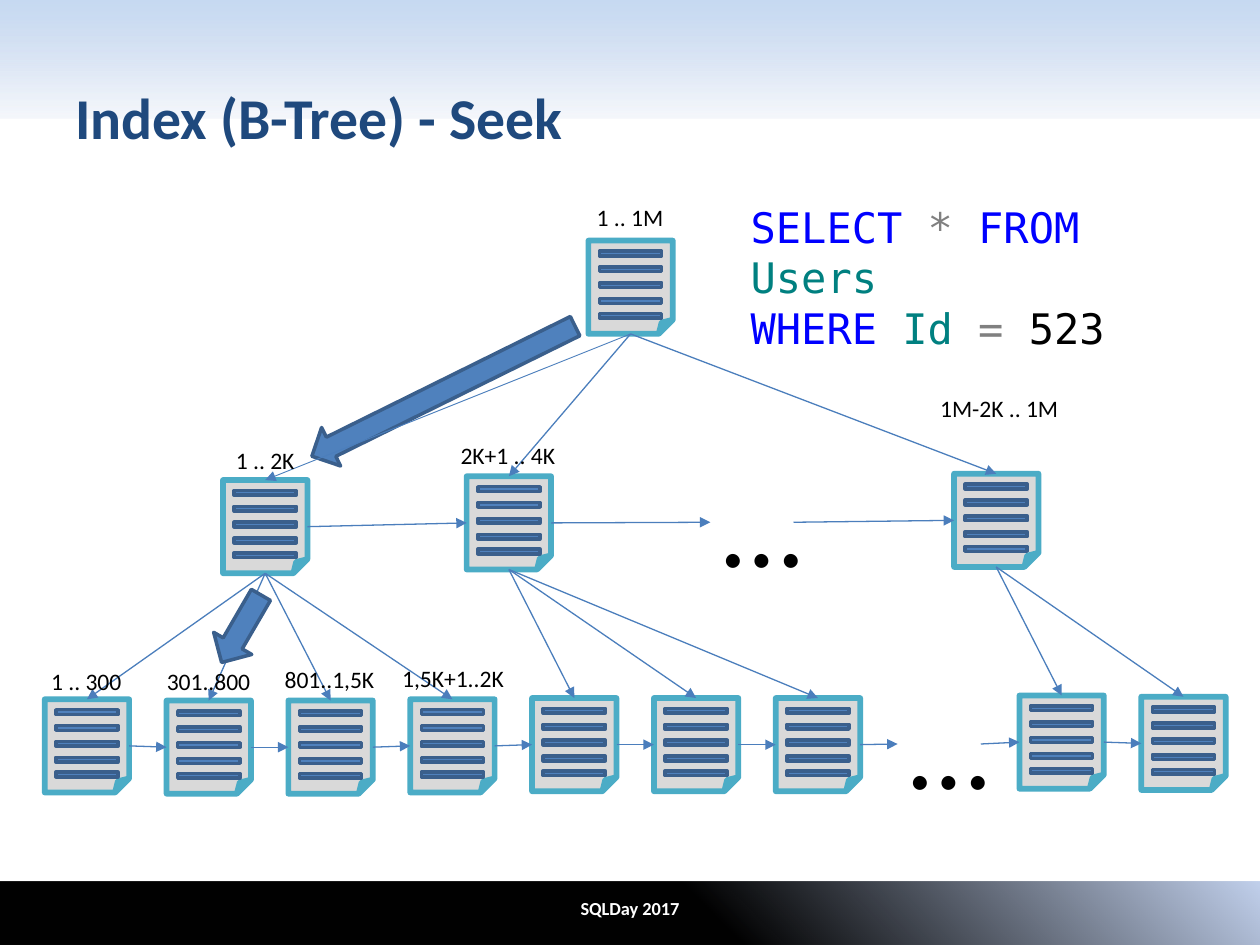
from lxml import etree
from pptx import Presentation
from pptx.dml.color import RGBColor
from pptx.enum.shapes import MSO_CONNECTOR as Line, MSO_SHAPE as Shape
from pptx.enum.text import MSO_ANCHOR as Anchor, MSO_AUTO_SIZE as AutoSize, PP_ALIGN as Align
from pptx.oxml import parse_xml
from pptx.oxml.ns import nsdecls, qn
from pptx.util import Inches, Pt

COLUMNS, ROWS = 100, 75
PAGE_W, PAGE_H = 6.7, 7.4
TOP, LEFT, BOTTOM, RIGHT = range(4)


def color(hex_code):
    return RGBColor.from_string(hex_code)


class Diagram:
    """Style and current slide; lengths are columns and rows of the grid."""
    font, code_font = "Calibri", "DejaVu Sans Mono"
    ink, title_ink = "000000", "1F497D"
    blue, dark_blue, link_blue = "4F81BD", "3A5F8C", "4B7EBC"
    paper, paper_edge = "D9D9D9", "4BACC6"

    def __init__(self, deck):
        self.slide = deck.slides.add_slide(deck.slide_layouts[6])
        self.column = deck.slide_width / COLUMNS
        self.row = deck.slide_height / ROWS

    def frame(self, x, y, w, h):
        return (round(x * self.column), round(y * self.row),
                round(w * self.column), round(h * self.row))

    def shape(self, kind, box, fill, edge, weight, parent=None, rotation=0):
        item = (parent or self.slide).shapes.add_shape(kind, *self.frame(*box))
        item.shadow.inherit = False
        item.fill.solid()
        item.fill.fore_color.rgb = color(fill)
        item.line.color.rgb = color(edge)
        item.line.width = Pt(weight)
        item.rotation = rotation
        return item

    def band(self, box, stops, angle):
        """Rectangle with a gradient of (position, colour, opacity) stops."""
        item = self.slide.shapes.add_shape(Shape.RECTANGLE, *self.frame(*box))
        item.shadow.inherit = False
        item.line.fill.background()
        stop_xml = "".join(
            f'<a:gs pos="{at * 1000}"><a:srgbClr val="{shade}">'
            f'<a:alpha val="{opacity * 1000}"/></a:srgbClr></a:gs>'
            for at, shade, opacity in stops)
        gradient = parse_xml(
            f'<a:gradFill {nsdecls("a")} rotWithShape="1"><a:gsLst>{stop_xml}</a:gsLst>'
            f'<a:lin ang="{angle * 60000}" scaled="0"/></a:gradFill>')
        item._element.spPr.find(qn("a:prstGeom")).addnext(gradient)

    def page(self, x, y):
        """Data page: folded sheet with five lines of rows."""
        group = self.slide.shapes.add_group_shape()
        sheet = self.shape(Shape.FOLDED_CORNER, (x, y, PAGE_W, PAGE_H),
                           self.paper, self.paper_edge, 3.25, group)
        for offset in (0.22, 1.48, 2.74, 4, 5.17):
            self.shape(Shape.MATH_MINUS, (x, y + offset, PAGE_W, 1.6),
                       self.blue, self.dark_blue, 2, group)
        return sheet

    def seek_arrow(self, box, rotation):
        self.shape(Shape.DOWN_ARROW, box, self.blue, self.dark_blue, 2, rotation=rotation)

    def link(self, start, start_side, end, end_side, weight=0.75):
        arrow = self.slide.shapes.add_connector(Line.STRAIGHT, 0, 0, 0, 0)
        arrow.begin_connect(start, start_side)
        arrow.end_connect(end, end_side)
        arrow.line.color.rgb = color(self.link_blue)
        arrow.line.width = Pt(weight)
        etree.SubElement(arrow.line._get_or_add_ln(), qn("a:tailEnd"), type="triangle")
        etree.SubElement(arrow._element.spPr, qn("a:effectLst"))

    def text(self, content, box, *, size=13.5, ink=None, font=None, bold=False,
             align=Align.CENTER, anchor=Anchor.TOP, grow=True):
        """Content is a string, or paragraphs of (text, colour) runs."""
        ink = ink or self.ink
        item = self.slide.shapes.add_textbox(*self.frame(*box))
        body = item.text_frame
        body.word_wrap = True
        body.vertical_anchor = anchor
        body.auto_size = AutoSize.SHAPE_TO_FIT_TEXT if grow else AutoSize.NONE
        paragraphs = [[(content, ink)]] if isinstance(content, str) else content
        for number, runs in enumerate(paragraphs):
            paragraph = body.add_paragraph() if number else body.paragraphs[0]
            paragraph.alignment = align
            for words, shade in runs:
                run = paragraph.add_run()
                run.text = words
                run.font.name = font or self.font
                run.font.size = Pt(size)
                run.font.bold = bold
                run.font.color.rgb = color(shade)
        return item


def main():
    deck = Presentation()
    deck.slide_width, deck.slide_height = Inches(10), Inches(7.5)
    diagram = Diagram(deck)

    # Header and footer bands, two translucent layers each
    for _ in range(2):
        diagram.band((0, 0, 100, 9.4),
                     [(0, "DCE6F2", 41), (0, "C6D9F1", 100), (100, "E1E8F5", 16)], 90)
        diagram.band((0, 70, 100, 5),
                     [(56, "000000", 93), (100, "C2D1ED", 100), (100, "E1E8F5", 16)], 315)
    diagram.text("SQLDay 2017", (27.9, 70, 44.2, 4.2), size=10.5, ink="FFFFFF",
                 bold=True, anchor=Anchor.MIDDLE, grow=False)
    diagram.text("Index (B-Tree) - Seek", (5, 3, 90, 12.5), size=33, ink=diagram.title_ink,
                 bold=True, align=Align.LEFT, anchor=Anchor.MIDDLE, grow=False)

    # Tree levels; None marks the slot of an ellipsis
    def level(left, pitch, tops, gap_top):
        return [diagram.text("…", (left + i * pitch, gap_top, 6.6, 12.1), size=66)
                if top is None else diagram.page(left + i * pitch, top)
                for i, top in enumerate(tops)]

    leaf_pitch = 9.67
    root = diagram.page(46.7, 19.1)
    branches = level(17.7, 2 * leaf_pitch, [38.1, 37.8, None, 37.6], 35.4)
    leaves = level(3.55, leaf_pitch,
                   [55.5, 55.6, 55.6, 55.5, 55.4, 55.4, 55.4, None, 55.2, 55.3], 53)

    # Links from parents to children
    diagram.seek_arrow((33.5, 19.4, 3.4, 23.3), 63.7)
    first, second, _, last = branches
    for branch, weight in ((first, 0.5), (second, 0.75), (last, 0.75)):
        diagram.link(root, BOTTOM, branch, TOP, weight)
    for branch, children in ((first, leaves[:4]), (second, leaves[4:7]), (last, leaves[8:])):
        for leaf in children:
            diagram.link(branch, BOTTOM, leaf, TOP)

    # Links between neighbours on one level
    for siblings in (branches, leaves):
        for previous, following in zip(siblings, siblings[1:]):
            diagram.link(previous, RIGHT, following, LEFT)

    # Key ranges: centre, top, width
    for key_range, center, top, width in (
            ("1 .. 1M", 50, 15.6, 8.7), ("1 .. 2K", 21.05, 34.9, 8.7),
            ("2K+1 .. 4K", 40.3, 34.5, 10.8), ("1M-2K .. 1M", 79.3, 30.8, 13),
            ("1 .. 300", 6.85, 52.4, 8.7), ("301..800", 16.55, 52.4, 10.3),
            ("801..1,5K", 26.15, 52.3, 11.1), ("1,5K+1..2K", 35.95, 52.2, 12.5)):
        diagram.text(key_range, (center - width / 2, top, width, 3.3))

    # Query
    keyword, name, operator = "0000FF", "008080", "808080"
    diagram.text([[("SELECT ", keyword), ("* ", operator), ("FROM ", keyword), ("Users", name)],
                  [("WHERE ", keyword), ("Id ", name), ("=", operator), (" 523", diagram.ink)]],
                 (58.6, 15.5, 38.4, 9.1), size=24, font=diagram.code_font, align=Align.LEFT)

    diagram.seek_arrow((17.4, 46.8, 3.5, 6.2), 30.2)
    deck.save("out.pptx")


if __name__ == "__main__":
    main()
